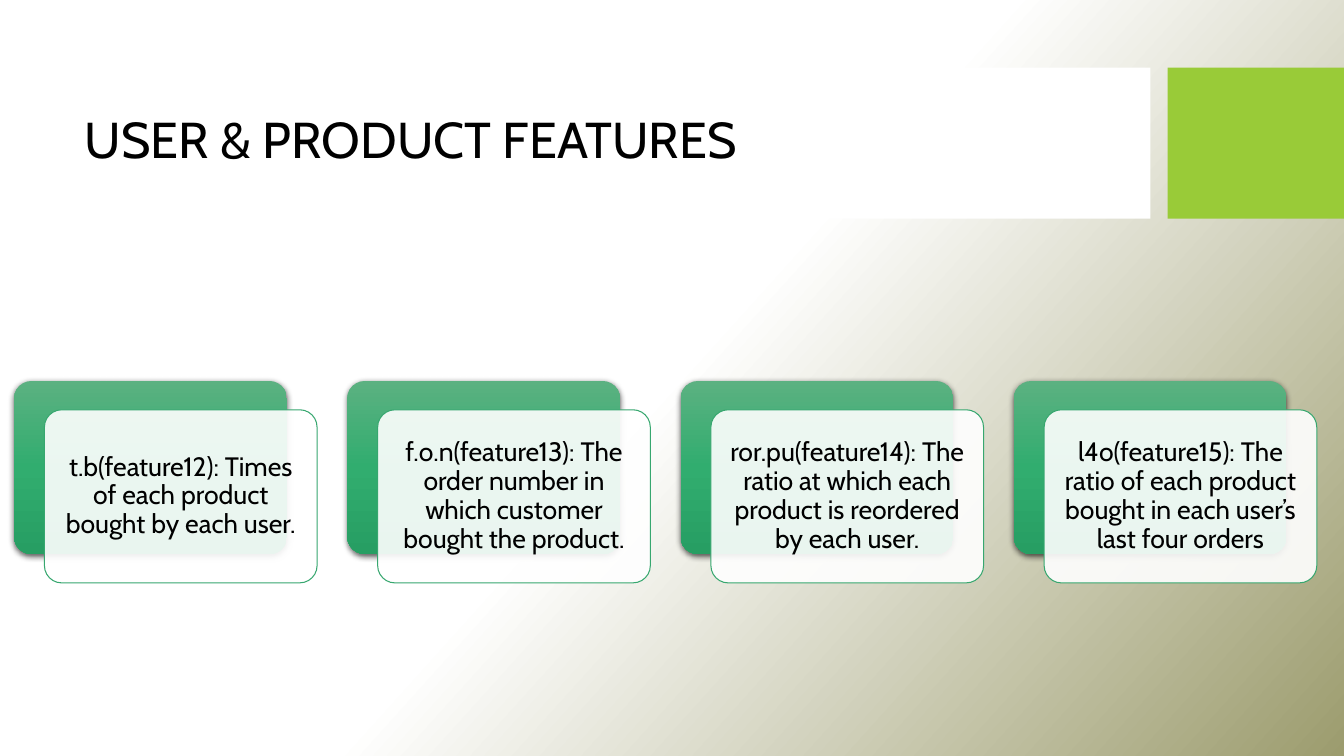
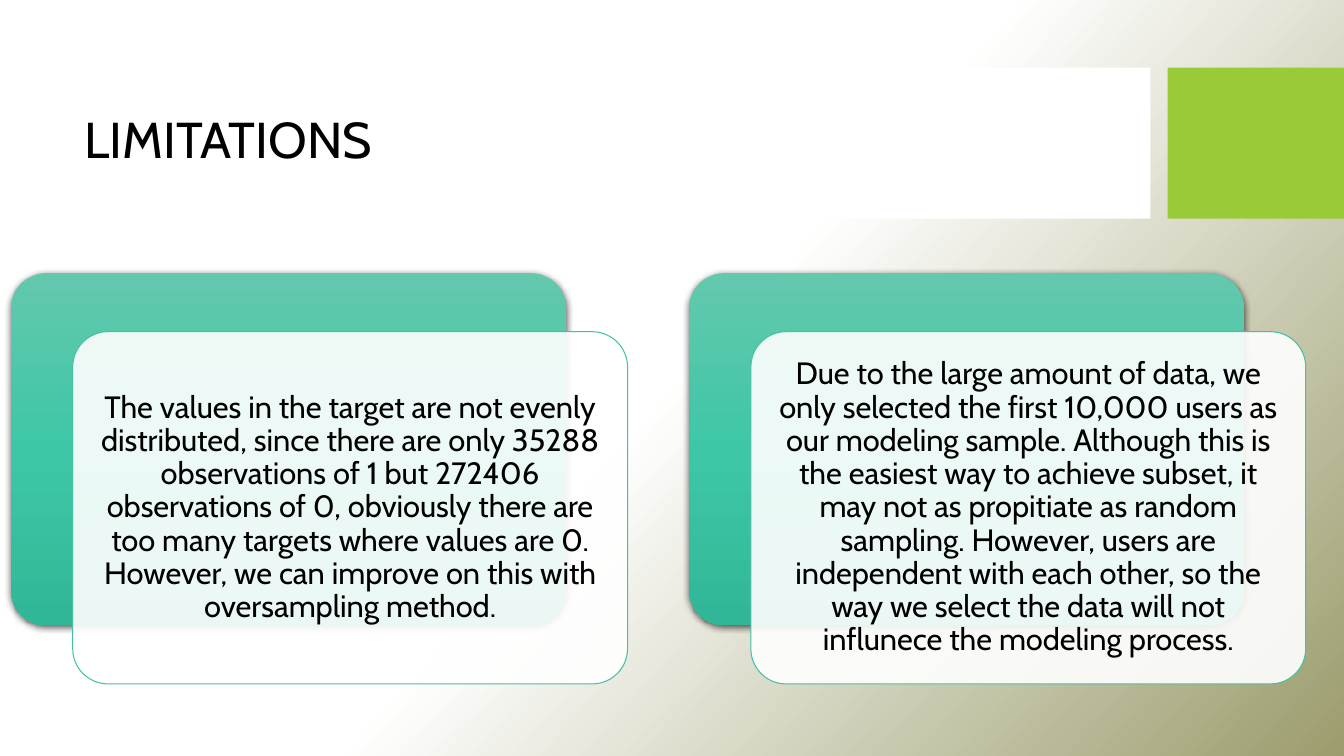
"""Build two slides of layered text cards under a shared title band."""
from copy import deepcopy

from lxml import etree
from pptx import Presentation
from pptx.dml.color import RGBColor
from pptx.enum.shapes import MSO_SHAPE
from pptx.enum.text import MSO_ANCHOR, MSO_AUTO_SIZE, PP_ALIGN
from pptx.oxml.ns import qn
from pptx.util import Inches, Pt

RECTANGLE = MSO_SHAPE.RECTANGLE
ROUNDED = MSO_SHAPE.ROUNDED_RECTANGLE
MIDDLE = MSO_ANCHOR.MIDDLE
LEFT, CENTER = PP_ALIGN.LEFT, PP_ALIGN.CENTER
NO_AUTOFIT = MSO_AUTO_SIZE.NONE

FONT = "Cabin"
TITLE_ONLY = 5
COLORS = {
    "text": "000000",
    "shadow": "000000",
    "white": "FFFFFF",
    "accent": "99CB38",
    "olive": "9C9C6E",
}
GREEN = {"gradient": ("5BB181", "31AD6F", "279E63"), "outline": "37A76F"}
TEAL = {"gradient": ("63C8AD", "3EC7A6", "31B797"), "outline": "44C1A3"}

SHIFT_X = 1 / 9
SHIFT_Y = 0.1056
CARD_RATIO = 0.635
CARD_GAP = 2 / 9

FEATURES = (
    "t.b(feature12): Times of each product bought by each user.",
    "f.o.n(feature13): The order number in which customer bought the product.",
    "ror.pu(feature14): The ratio at which each product is reordered by each user.",
    "l4o(feature15): The ratio of each product bought in each user’s last four orders",
)
LIMITATIONS = (
    "The values in the target are not evenly distributed, since there are only 35288 "
    "observations of 1 but 272406 observations of 0, obviously there are too many targets "
    "where values are 0. However, we can improve on this with oversampling method.",
    "Due to the large amount of data, we only selected the first 10,000 users as our modeling "
    "sample. Although this is the easiest way to achieve subset, it may not as propitiate as "
    "random sampling. However, users are independent with each other, so the way we select "
    "the data will not influnece the modeling process.",
)


def set_gradient(fill, holder, colors, angle):
    """Give a fill three evenly spaced stops at a clockwise angle."""
    fill.gradient()
    fill.gradient_angle = 360 - angle
    stops = next(holder.iter(qn("a:gsLst")))
    stops.append(deepcopy(stops[0]))
    for index, (stop, color) in enumerate(zip(fill.gradient_stops, colors)):
        stop.position = index / 2
        stop.color.rgb = RGBColor.from_string(color)


def set_alpha(color_element, percent):
    """Set the opacity of a colour element."""
    etree.SubElement(color_element, qn("a:alpha"), val=str(percent * 1000))


def add_soft_shadow(shape):
    """Add a soft shadow falling just below a shape."""
    effects = shape._element.spPr.find(qn("a:effectLst"))
    shadow = etree.SubElement(
        effects, qn("a:outerShdw"), blurRad=str(Pt(4.5)), dist=str(Pt(1.5)),
        dir=str(90 * 60000), algn="ctr", rotWithShape="0")
    color = etree.SubElement(shadow, qn("a:srgbClr"), val=COLORS["shadow"])
    set_alpha(color, 63)


def write_text(frame, text, size, align, inset_x=0.1, inset_y=0.05):
    """Write one formatted, vertically centred paragraph."""
    frame.word_wrap = True
    frame.auto_size = NO_AUTOFIT
    frame.vertical_anchor = MIDDLE
    frame.margin_left = frame.margin_right = Inches(inset_x)
    frame.margin_top = frame.margin_bottom = Inches(inset_y)
    para = frame.paragraphs[0]
    para.alignment = align
    para.line_spacing = 0.9
    span = para.add_run()
    span.text = text
    span.font.name = FONT
    span.font.size = Pt(size)
    span.font.color.rgb = RGBColor.from_string(COLORS["text"])


def add_box(page, kind, left, top, width, height, fill=None, outline=None):
    """Add a shape without theme effects, with optional solid fill and outline."""
    box = page.shapes.add_shape(
        kind, Inches(left), Inches(top), Inches(width), Inches(height))
    box.shadow.inherit = False
    if fill:
        box.fill.solid()
        box.fill.fore_color.rgb = RGBColor.from_string(fill)
    if outline:
        box.line.color.rgb = RGBColor.from_string(outline)
        box.line.width = Pt(0.75)
    else:
        box.line.fill.background()
    if kind == ROUNDED:
        box.adjustments[0] = 0.1
    return box


def add_titled_page(deck, text):
    """Add a page with the title band, the accent block and the title."""
    page = deck.slides.add_slide(deck.slide_layouts[TITLE_ONLY])
    add_box(page, RECTANGLE, 0, 0.67, 11.41, 1.5, COLORS["white"])
    add_box(page, RECTANGLE, 11.58, 0.67, 1.75, 1.5, COLORS["accent"])
    title = page.shapes.title
    title.left, title.top = Inches(0.74), Inches(0.82)
    title.width, title.height = Inches(10.51), Inches(1.18)
    write_text(title.text_frame, text, 36, LEFT)
    page.shapes._spTree.append(title._element)
    return page


def add_card(page, left, top, width, text, palette, size, inset):
    """Add a gradient card with a translucent text panel shifted over it."""
    height = width * CARD_RATIO
    back = add_box(page, ROUNDED, left, top, width, height)
    set_gradient(back.fill, back._element, palette["gradient"], 90)
    add_soft_shadow(back)
    panel = add_box(page, ROUNDED, left + width * SHIFT_X, top + width * SHIFT_Y,
                    width, height, COLORS["white"], palette["outline"])
    fill_color = panel._element.spPr.find(qn("a:solidFill"))[0]
    set_alpha(fill_color, 90)
    write_text(panel.text_frame, text, size, CENTER, inset, inset)


def add_card_row(page, left, top, width, texts, palette, size, inset):
    """Spread equal cards over the given width."""
    count = len(texts)
    step = 1 + SHIFT_X + CARD_GAP - SHIFT_X
    card_width = width / ((count - 1) * step + 1 + SHIFT_X)
    for index, text in enumerate(texts):
        add_card(page, left + index * step * card_width, top, card_width,
                 text, palette, size, inset)


def main():
    """Build and save the deck."""
    deck = Presentation()
    deck.slide_width, deck.slide_height = Inches(13.33), Inches(7.5)
    master = deck.slide_master
    set_gradient(master.background.fill, master.element,
                 (COLORS["white"], COLORS["white"], COLORS["olive"]), 42)

    features = add_titled_page(deck, "USER & PRODUCT FEATURES")
    add_card_row(features, 0.14, 3.78, 12.92, FEATURES, GREEN, 19, 0.08)

    limitations = add_titled_page(deck, "LIMITATIONS")
    add_card_row(limitations, 0.11, 2.71, 12.84, LIMITATIONS, TEAL, 22, 0.09)

    deck.save("out.pptx")


if __name__ == "__main__":
    main()
